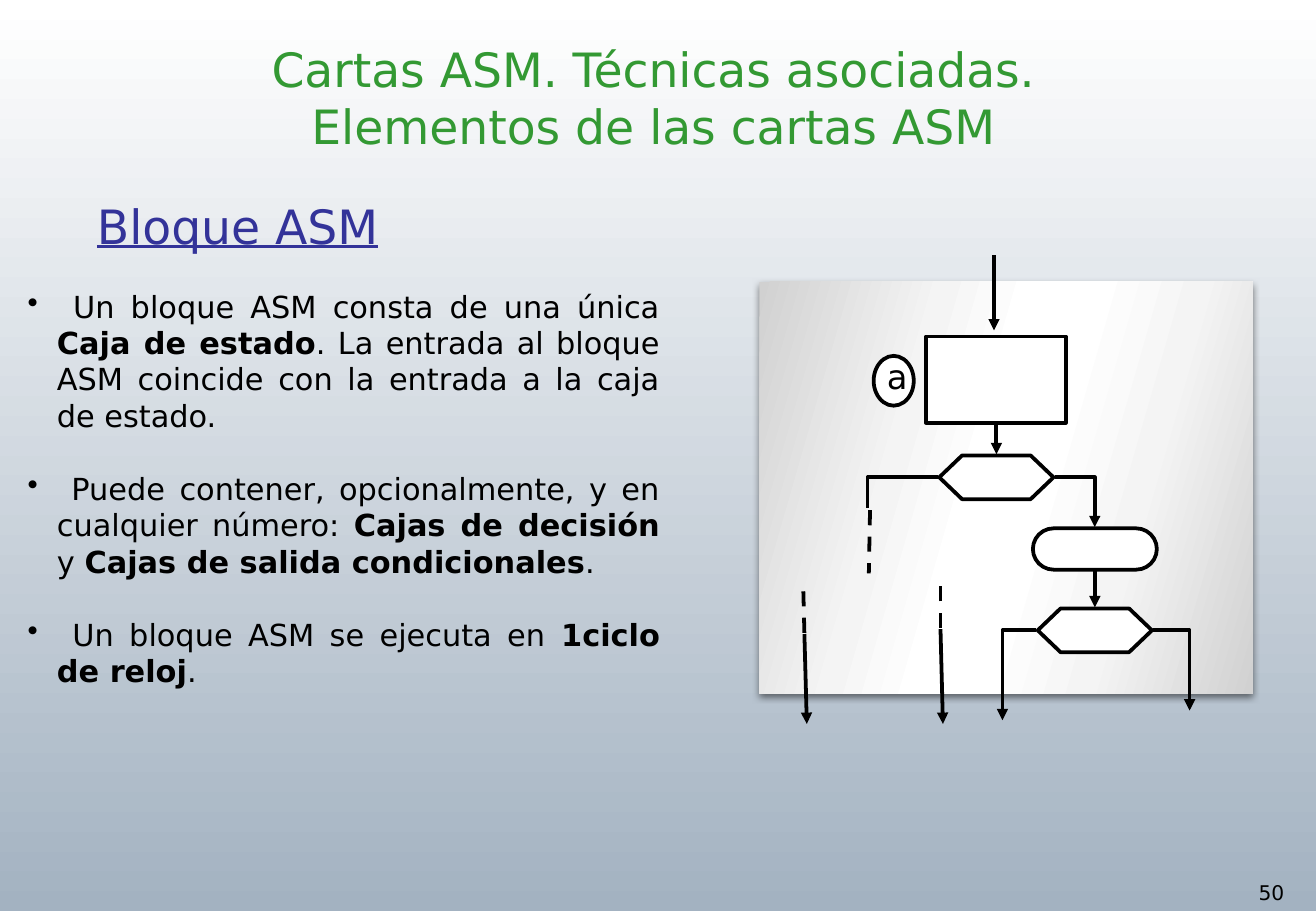
from lxml import etree
from pptx import Presentation
from pptx.dml.color import RGBColor
from pptx.enum.dml import MSO_LINE
from pptx.enum.shapes import MSO_CONNECTOR, MSO_SHAPE
from pptx.enum.text import MSO_ANCHOR, PP_ALIGN
from pptx.oxml.ns import qn
from pptx.util import Inches, Pt

RECTANGLE = MSO_SHAPE.RECTANGLE
HEXAGON = MSO_SHAPE.FLOWCHART_PREPARATION
ELLIPSE = MSO_SHAPE.OVAL
ROUNDED = MSO_SHAPE.ROUNDED_RECTANGLE
STRAIGHT, ELBOW = MSO_CONNECTOR.STRAIGHT, MSO_CONNECTOR.ELBOW
DASH = MSO_LINE.DASH
TOP, MIDDLE, BOTTOM = MSO_ANCHOR.TOP, MSO_ANCHOR.MIDDLE, MSO_ANCHOR.BOTTOM
LEFT, CENTER, JUSTIFY = PP_ALIGN.LEFT, PP_ALIGN.CENTER, PP_ALIGN.JUSTIFY

COLORS = {
    "black": "000000", "white": "FFFFFF", "heading": "339933",
    "subheading": "333399", "sky": "A3B2C1", "silver": "D1D1D1", "pearl": "F4F4F4",
}


class AsmSlide:
    """Holds the style and the current slide and draws each kind of element."""

    font_name = "DejaVu Sans"
    line_width = Pt(2.25)

    def __init__(self, presentation):
        self.slide = presentation.slides.add_slide(presentation.slide_layouts[6])

    def color(self, name):
        return RGBColor.from_string(COLORS[name])

    def gradient(self, element, fill, angle, stops):
        fill.gradient()
        fill.gradient_angle = 360 - angle
        stop_list = next(element.iter(qn("a:gsLst")))
        for stop in list(stop_list):
            stop_list.remove(stop)
        for percent, name in stops:
            stop = etree.SubElement(stop_list, qn("a:gs"), pos=str(percent * 1000))
            etree.SubElement(stop, qn("a:srgbClr"), val=COLORS[name])

    def background(self, angle, stops):
        self.gradient(self.slide.element, self.slide.background.fill, angle, stops)

    def panel(self, box, angle, stops):
        shape = self.slide.shapes.add_shape(RECTANGLE, *map(Inches, box))
        self.gradient(shape.element, shape.fill, angle, stops)
        shape.line.fill.background()
        shape.shadow.inherit = False
        effects = shape.element.spPr.find(qn("a:effectLst"))
        shadow = etree.SubElement(
            effects, qn("a:outerShdw"), blurRad=str(Pt(4)), dist=str(Pt(2)),
            dir="5400000", algn="t", rotWithShape="0")
        shade = etree.SubElement(shadow, qn("a:srgbClr"), val=COLORS["black"])
        etree.SubElement(shade, qn("a:alpha"), val="50000")

    def node(self, kind, box):
        shape = self.slide.shapes.add_shape(kind, *map(Inches, box))
        shape.shadow.inherit = False
        shape.fill.solid()
        shape.fill.fore_color.rgb = self.color("white")
        shape.line.color.rgb = self.color("black")
        shape.line.width = self.line_width
        if kind == ROUNDED:
            shape.adjustments[0] = 0.5

    def connector(self, start, end, bent=False, arrow=True, dashed=False):
        connector = self.slide.shapes.add_connector(
            ELBOW if bent else STRAIGHT, *map(Inches, (*start, *end)))
        properties = connector.element.spPr
        if bent:
            properties.find(qn("a:prstGeom")).set("prst", "bentConnector2")
        connector.line.color.rgb = self.color("black")
        connector.line.width = self.line_width
        if dashed:
            connector.line.dash_style = DASH
        if arrow:
            etree.SubElement(properties.find(qn("a:ln")), qn("a:tailEnd"), type="triangle")
        etree.SubElement(properties, qn("a:effectLst"))

    def text(self, box, paragraphs, size, color="black", align=LEFT, anchor=TOP,
             wrap=True, underline=False, bullets=False):
        frame = self.slide.shapes.add_textbox(*map(Inches, box)).text_frame
        frame.word_wrap = wrap
        frame.vertical_anchor = anchor
        for index, content in enumerate(paragraphs):
            paragraph = frame.add_paragraph() if index else frame.paragraphs[0]
            paragraph.alignment = align
            if bullets:
                self.bullet(paragraph)
                paragraph.space_before = Pt(21.6 if index else 0)
            for position, part in enumerate(content.split("**")):
                run = paragraph.add_run()
                run.text = part
                run.font.name = self.font_name
                run.font.size = Pt(size)
                run.font.bold = position % 2 == 1
                run.font.underline = underline
                run.font.color.rgb = self.color(color)

    def bullet(self, paragraph):
        properties = paragraph._p.get_or_add_pPr()
        properties.set("marL", str(Inches(0.24)))
        properties.set("indent", str(-Inches(0.24)))
        etree.SubElement(properties, qn("a:buChar"), char="•")


presentation = Presentation()
presentation.slide_width, presentation.slide_height = Inches(10.83), Inches(7.5)
asm = AsmSlide(presentation)

asm.background(90, [(0, "white"), (100, "sky")])
asm.text((10.26, 7.2, 0.57, 0.3), ["50"], 12)
asm.text((0.7, 1.44, 3.8, 0.7), ["Bloque ASM"], 28, "subheading",
         anchor=BOTTOM, underline=True)
asm.panel((6.25, 2.32, 4.06, 3.39), 16, [
    (0, "silver"), (30, "pearl"), (45, "white"),
    (55, "white"), (73, "pearl"), (100, "silver")])

for kind, box in [
    (RECTANGLE, (7.62, 2.77, 1.15, 0.71)),
    (HEXAGON, (7.73, 3.75, 0.94, 0.36)),
    (ELLIPSE, (7.19, 2.93, 0.33, 0.41)),
    (ROUNDED, (8.5, 4.35, 1.02, 0.34)),
    (HEXAGON, (8.54, 5.01, 0.94, 0.36)),
]:
    asm.node(kind, box)

for start, end in [
    ((8.18, 2.1), (8.18, 2.72)),
    ((8.2, 3.49), (8.2, 3.74)),
    ((9.01, 4.7), (9.01, 5)),
    ((6.62, 5.22), (6.64, 5.96)),
    ((7.74, 5.18), (7.76, 5.96)),
]:
    asm.connector(start, end)

for start, end in [
    ((8.68, 3.93), (9.01, 4.34)),
    ((8.53, 5.19), (8.25, 5.93)),
    ((9.49, 5.19), (9.79, 5.85)),
]:
    asm.connector(start, end, bent=True)
asm.connector((7.72, 3.93), (7.14, 4.18), bent=True, arrow=False)

for start, end in [
    ((7.16, 4.2), (7.15, 4.72)),
    ((6.62, 5.21), (6.61, 4.82)),
    ((7.74, 5.17), (7.74, 4.79)),
]:
    asm.connector(start, end, arrow=False, dashed=True)

asm.text((7.2, 2.88, 0.28, 0.4), ["a"], 20, align=CENTER, wrap=False)
asm.text((0.13, 2.32, 5.4, 3.53), [
    " Un bloque ASM consta de una única **Caja de estado**. La entrada al bloque "
    "ASM coincide con la entrada a la caja de estado.",
    " Puede contener, opcionalmente, y en cualquier número: **Cajas de decisión** "
    "y **Cajas de salida condicionales**.",
    " Un bloque ASM se ejecuta en **1ciclo de reloj**.",
], 18, align=JUSTIFY, bullets=True)
asm.text((0.25, 0.25, 10.25, 1.1), [
    "Cartas ASM. Técnicas asociadas.", "Elementos de las cartas ASM",
], 28, "heading", align=CENTER, anchor=MIDDLE)

presentation.save("out.pptx")
